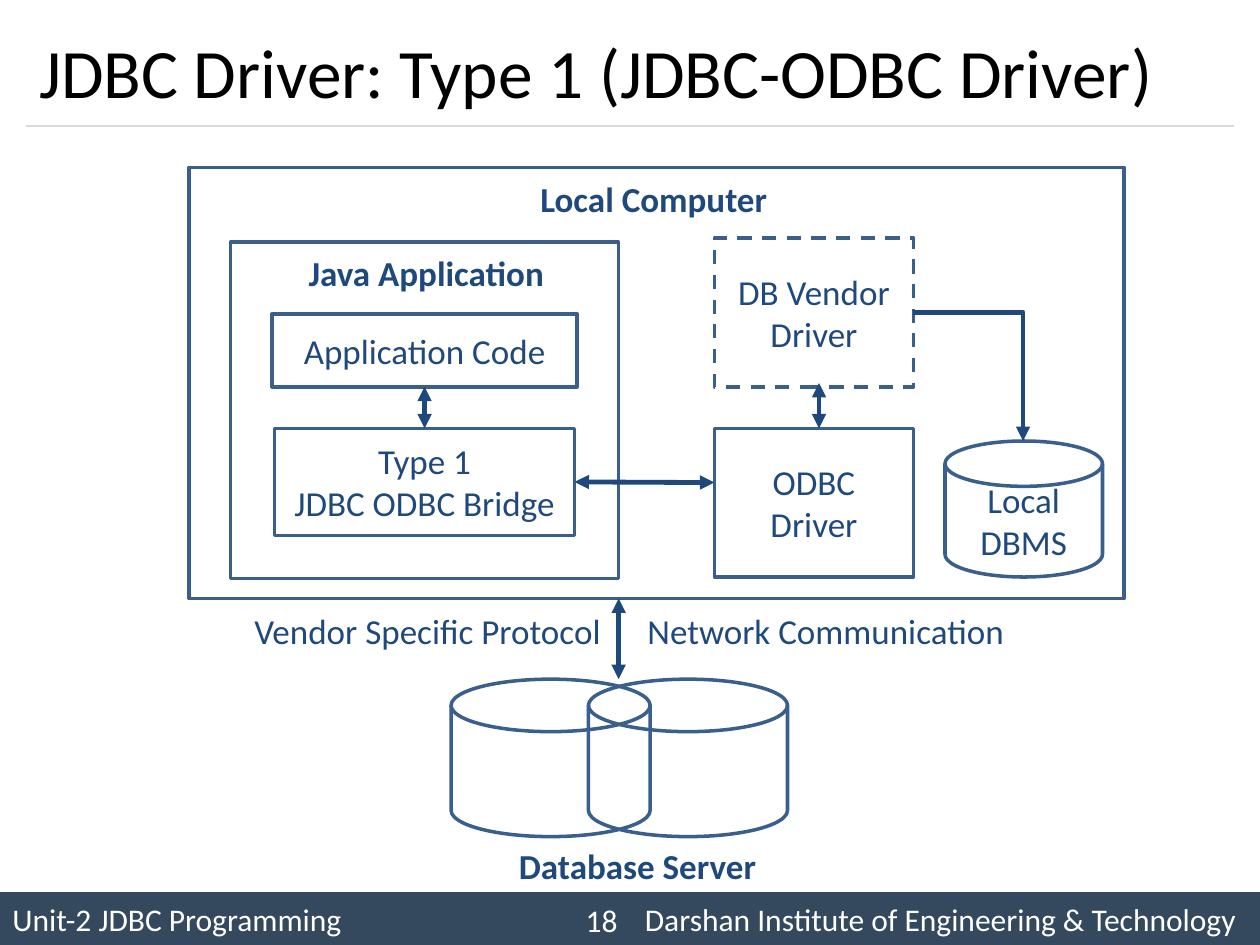
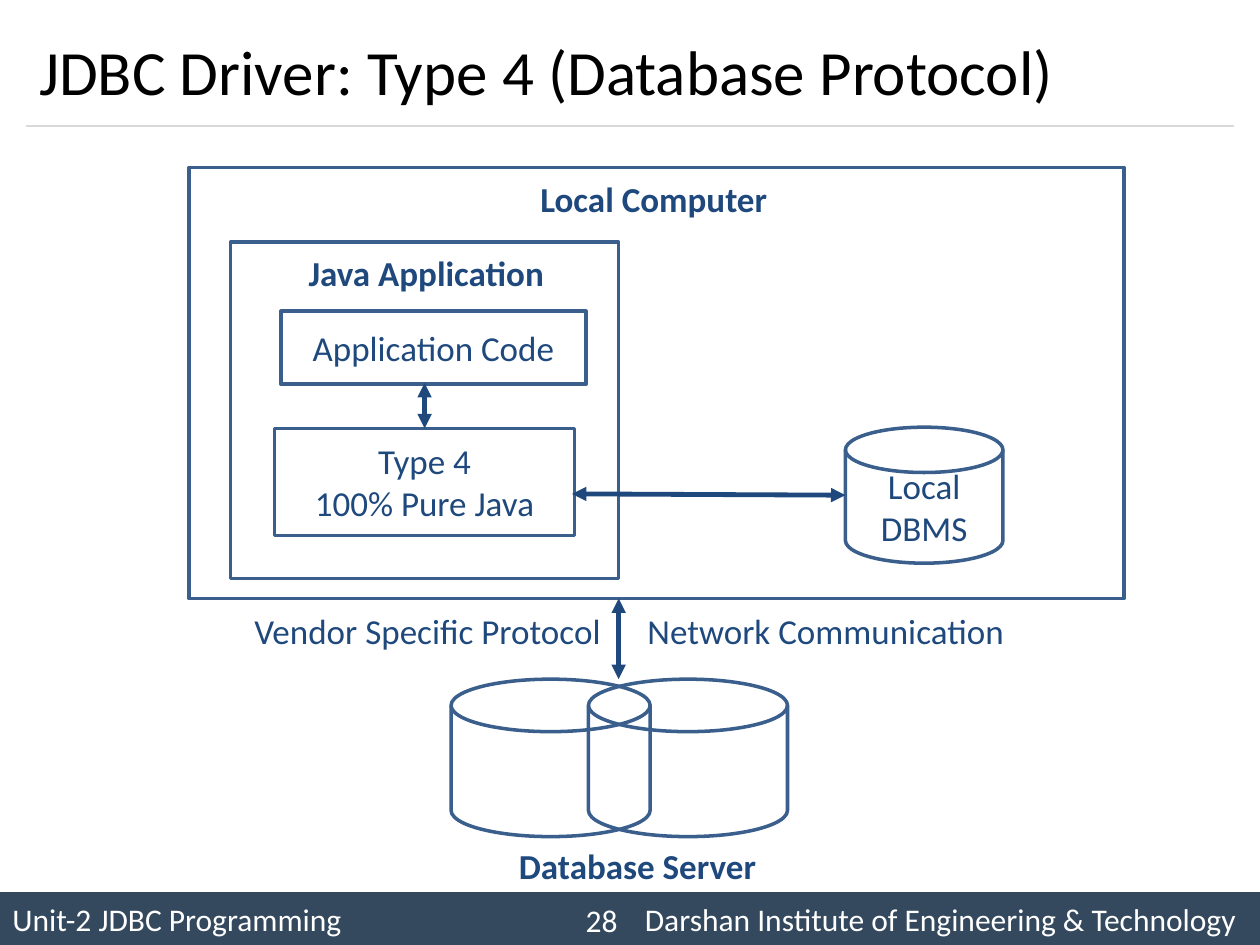
from lxml import etree
from pptx import Presentation
from pptx.dml.color import RGBColor
from pptx.enum.dml import MSO_LINE
from pptx.enum.shapes import MSO_CONNECTOR as CONNECTOR, MSO_SHAPE as SHAPE
from pptx.enum.text import MSO_ANCHOR as ANCHOR, MSO_AUTO_SIZE as AUTO_SIZE, PP_ALIGN as ALIGN
from pptx.oxml.ns import qn
from pptx.util import Inches, Pt

COLORS = {
    "band": "34495E",
    "rule": "D9D9D9",
    "outline": "3A5F8C",
    "label": "1F497D",
    "title": "000000",
    "white": "FFFFFF",
}
FONT = "Calibri"
FOOTER = "Unit-2 JDBC Programming\tDarshan Institute of Engineering & Technology"
RECT, DISK = SHAPE.RECTANGLE, SHAPE.FLOWCHART_MAGNETIC_DISK

# Captions found on both slides: text, (left, top, width, height), bold
CAPTIONS = [
    ("Local Computer", (4.19, 1.36, 2.05, 0.44), True),
    ("Java Application", (2.35, 1.95, 2.15, 0.44), True),
    ("Database Server", (4.02, 6.65, 2.2, 0.44), True),
    ("Vendor Specific Protocol", (1.92, 4.79, 3.08, 0.44), False),
    ("Network Communication", (5.04, 4.79, 3.12, 0.44), False),
]
# Outlines found on both slides: name, preset, place, text
FRAMES = [
    ("local computer", RECT, (1.5, 1.33, 7.42, 3.42), ""),
    ("java application", RECT, (1.83, 1.92, 3.08, 2.67), ""),
    ("server disk 1", DISK, (3.58, 5.39, 1.58, 1.25), ""),
    ("server disk 2", DISK, (4.67, 5.39, 1.58, 1.25), ""),
]
SERVER_ARROW = ((4.91, 4.75), (4.91, 5.39))
BRIDGE = (2.18, 3.4, 2.38, 0.85)

# Joins give the (shape name, side) that an arrow starts from or ends at.
SLIDES = [
    {
        "title": "JDBC Driver: Type 1 (JDBC-ODBC Driver)",
        "title_size": 39.6,
        "number": "18",
        "boxes": [
            ("code", RECT, (2.16, 2.49, 2.42, 0.58), "Application Code"),
            ("bridge", RECT, BRIDGE, "Type 1\nJDBC ODBC Bridge"),
            ("odbc", RECT, (5.67, 3.4, 1.58, 1.18), "ODBC Driver"),
            ("vendor", RECT, (5.67, 1.89, 1.58, 1.18), "DB Vendor Driver"),
            ("dbms", DISK, (7.5, 3.5, 1.25, 1.08), "Local DBMS"),
        ],
        "arrows": [
            {"start": (3.37, 3.07), "end": (3.37, 3.4),
             "start_join": ("code", 2), "end_join": ("bridge", 0)},
            {"start": (4.56, 3.83), "end": (5.67, 3.83), "start_join": ("bridge", 3)},
            {"start": (6.5, 3.04), "end": (6.5, 3.4)},
            {"start": (7.25, 2.48), "end": (8.12, 3.5), "bent": True},
        ],
    },
    {
        "title": "JDBC Driver: Type 4 (Database Protocol)",
        "title_size": 36,
        "number": "28",
        "boxes": [
            ("code", RECT, (2.23, 2.47, 2.42, 0.58), "Application Code"),
            ("bridge", RECT, BRIDGE, "Type 4\n100% Pure Java"),
            ("dbms", DISK, (6.71, 3.39, 1.25, 1.08), "Local DBMS"),
        ],
        "arrows": [
            {"start": (3.37, 3.04), "end": (3.37, 3.4), "end_join": ("bridge", 0)},
            {"start": (4.54, 3.92), "end": (6.71, 3.93)},
        ],
    },
]


def write(shape, text, size=20, color="label", bold=False, align=ALIGN.LEFT,
          anchor=ANCHOR.MIDDLE, padding=0.1, tab=None):
    frame = shape.text_frame
    frame.text = text
    frame.word_wrap = True
    frame.auto_size = AUTO_SIZE.NONE
    frame.vertical_anchor = anchor
    frame.margin_left = frame.margin_right = Inches(padding)
    for paragraph in frame.paragraphs:
        paragraph.alignment = align
        if tab:
            tab_list = etree.SubElement(paragraph._p.get_or_add_pPr(), qn("a:tabLst"))
            etree.SubElement(tab_list, qn("a:tab"), pos=str(Inches(tab)), algn="l")
        for run in paragraph.runs:
            run.font.name = FONT
            run.font.size = Pt(size)
            run.font.bold = bold
            run.font.color.rgb = RGBColor.from_string(COLORS[color])


def draw_line(slide, start, end, color="label", width=2.75, bent=False, heads=True):
    """Draw a connector; a bent one has an arrowhead at its end only."""
    kind = CONNECTOR.ELBOW if bent else CONNECTOR.STRAIGHT
    line = slide.shapes.add_connector(kind, *map(Inches, start + end))
    line.line.color.rgb = RGBColor.from_string(COLORS[color])
    line.line.width = Pt(width)
    properties = line._element.spPr
    if bent:
        properties.find(qn("a:prstGeom")).set("prst", "bentConnector2")
    if heads:
        outline = properties.find(qn("a:ln"))
        for tag in ["a:tailEnd"] if bent else ["a:headEnd", "a:tailEnd"]:
            etree.SubElement(outline, qn(tag), type="triangle")
    etree.SubElement(properties, qn("a:effectLst"))
    return line


presentation = Presentation()
presentation.slide_width, presentation.slide_height = Inches(10), Inches(7.5)
title_only = presentation.slide_layouts[5]

for content in SLIDES:
    slide = presentation.slides.add_slide(title_only)

    # Title, rule and footer band
    title = slide.shapes.title
    title.left, title.top, title.width, title.height = map(Inches, (0.21, 0.12, 9.58, 0.88))
    write(title, content["title"], size=content["title_size"], color="title")
    draw_line(slide, (0.21, 1), (9.79, 1), color="rule", width=0.75, heads=False)

    band = slide.shapes.add_shape(RECT, *map(Inches, (0, 7.08, 10, 0.42)))
    band.shadow.inherit = False
    band.fill.solid()
    band.fill.fore_color.rgb = RGBColor.from_string(COLORS["band"])
    band.line.fill.background()
    write(band, FOOTER, size=18, color="white", tab=5.02)
    number = slide.shapes.add_textbox(*map(Inches, (4.17, 7.1, 0.83, 0.4)))
    write(number, content["number"], size=18, color="white", align=ALIGN.RIGHT)

    # Boxes and disks
    shapes = {}
    for name, preset, place, text in FRAMES + content["boxes"]:
        shape = slide.shapes.add_shape(preset, *map(Inches, place))
        shape.shadow.inherit = False
        shape.fill.background()
        shape.line.color.rgb = RGBColor.from_string(COLORS["outline"])
        shape.line.width = Pt(2)
        if name == "vendor":
            shape.line.dash_style = MSO_LINE.DASH
        if text:
            write(shape, text, align=ALIGN.CENTER, padding=0.15 if name == "odbc" else 0.1)
        shapes[name] = shape

    for text, place, bold in CAPTIONS:
        caption = slide.shapes.add_textbox(*map(Inches, place))
        write(caption, text, bold=bold, anchor=ANCHOR.TOP)

    # Arrows
    draw_line(slide, *SERVER_ARROW)
    for arrow in content["arrows"]:
        line = draw_line(slide, arrow["start"], arrow["end"], bent=arrow.get("bent", False))
        if "start_join" in arrow:
            name, side = arrow["start_join"]
            line.begin_connect(shapes[name], side)
        if "end_join" in arrow:
            name, side = arrow["end_join"]
            line.end_connect(shapes[name], side)

presentation.save("out.pptx")
